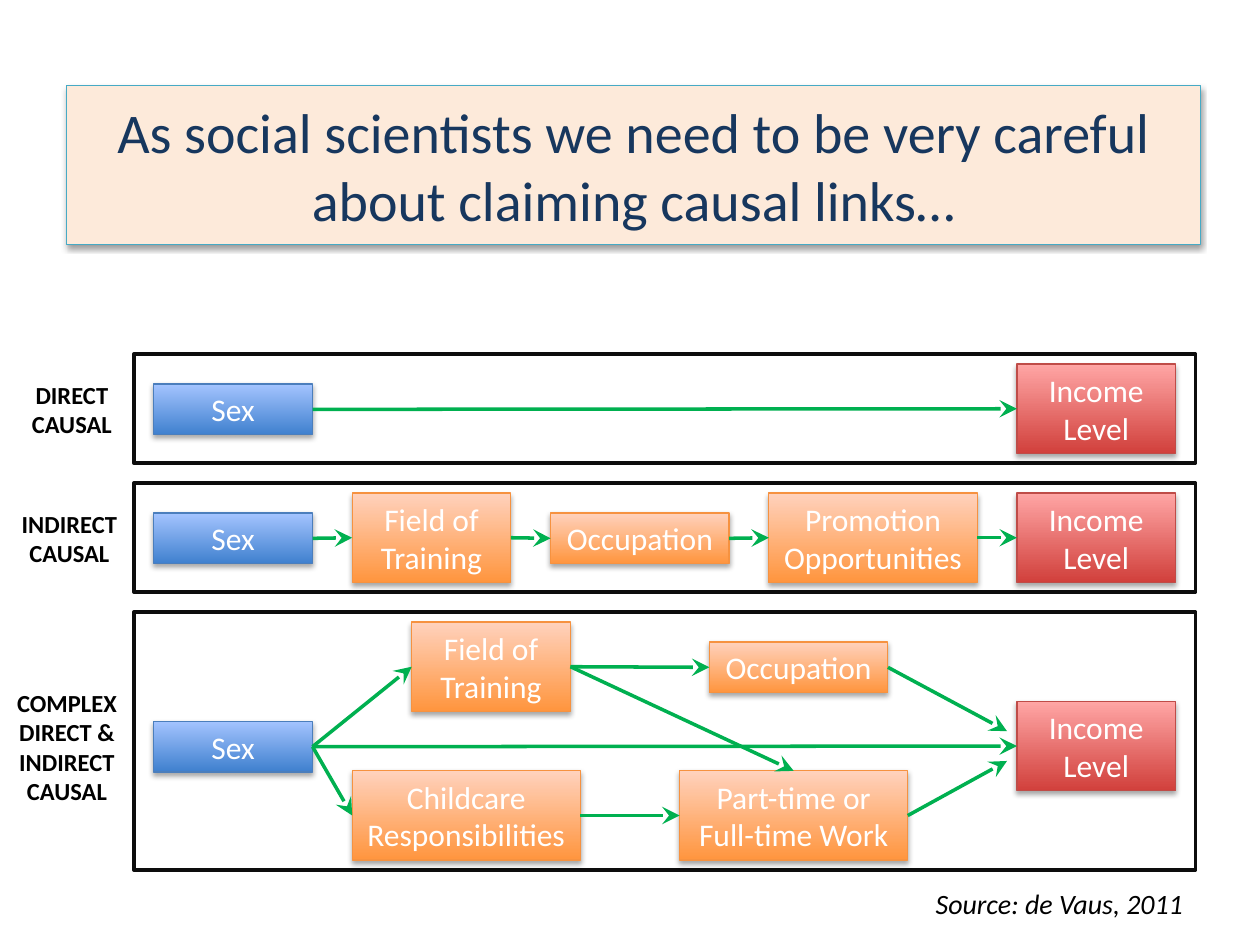
from dataclasses import dataclass

from lxml import etree
from pptx import Presentation
from pptx.dml.color import RGBColor
from pptx.enum.shapes import MSO_CONNECTOR, MSO_SHAPE
from pptx.enum.text import MSO_ANCHOR, PP_ALIGN
from pptx.oxml.ns import qn
from pptx.util import Emu, Inches, Pt

RECTANGLE = MSO_SHAPE.RECTANGLE
STRAIGHT = MSO_CONNECTOR.STRAIGHT
MIDDLE = MSO_ANCHOR.MIDDLE
CENTER, RIGHT = PP_ALIGN.CENTER, PP_ALIGN.RIGHT
TOP_SITE, LEFT_SITE, RIGHT_SITE = 0, 1, 3
GRID = 144000
SHORT, TALL = 2.56, 4.5


@dataclass(frozen=True)
class Theme:
    """Colours, font and type sizes of the slide."""

    font: str = "Calibri"
    title_size: int = 32
    node_size: int = 18
    label_size: int = 14
    source_size: int = 16
    title_text: str = "17375E"
    title_fill: str = "FDEADA"
    title_line: str = "46AAC5"
    node_text: str = "FFFFFF"
    body_text: str = "000000"
    panel_line: str = "0D0D0D"
    arrow: str = "00B050"
    cause: tuple = ("3F80CE", "A4C4FF", "4B7EBC")
    step: tuple = ("FF953E", "FFD2BD", "F69240")
    effect: tuple = ("D1403C", "FFA6A5", "BF4C48")


THEME = Theme()

SEX = ("Sex", THEME.cause)
INCOME = ("Income Level", THEME.effect)
FIELD = ("Field of Training", THEME.step)
OCCUPATION = ("Occupation", THEME.step)
PROMOTION = ("Promotion Opportunities", THEME.step)
CHILDCARE = ("Childcare Responsibilities", THEME.step)
WORK = ("Part-time or Full-time Work", THEME.step)

PANELS = [
    {
        "label": ("DIRECT CAUSAL", 0.75, 5.75),
        "box": (6.75, 17.85, 53.5, 5.5),
        "nodes": [(SEX, 1, 1.5, 8, SHORT), (INCOME, 44.5, 0.5, 8, TALL)],
        "links": [(SEX, INCOME, LEFT_SITE)],
        "open_links": [],
    },
    {
        "label": ("INDIRECT CAUSAL", 0, 7),
        "box": (6.75, 24.35, 53.5, 5.5),
        "nodes": [
            (SEX, 1, 1.5, 8, SHORT),
            (FIELD, 11, 0.5, 8, TALL),
            (OCCUPATION, 21, 1.5, 9, SHORT),
            (PROMOTION, 32, 0.5, 10.5, TALL),
            (INCOME, 44.5, 0.5, 8, TALL),
        ],
        "links": [
            (SEX, FIELD, LEFT_SITE),
            (FIELD, OCCUPATION, LEFT_SITE),
            (OCCUPATION, PROMOTION, LEFT_SITE),
            (PROMOTION, INCOME, LEFT_SITE),
        ],
        "open_links": [],
    },
    {
        "label": ("COMPLEX DIRECT & INDIRECT CAUSAL", 0, 6.75),
        "box": (6.75, 30.85, 53.5, 13),
        "nodes": [
            (SEX, 1, 5.5, 8, SHORT),
            (FIELD, 14, 0.5, 8, TALL),
            (OCCUPATION, 29, 1.5, 9, SHORT),
            (CHILDCARE, 11, 8, 11.5, TALL),
            (WORK, 27.5, 8, 11.5, TALL),
            (INCOME, 44.5, 4.5, 8, TALL),
        ],
        "links": [
            (SEX, FIELD, LEFT_SITE),
            (SEX, CHILDCARE, LEFT_SITE),
            (SEX, INCOME, LEFT_SITE),
            (FIELD, OCCUPATION, LEFT_SITE),
            (FIELD, WORK, TOP_SITE),
            (CHILDCARE, WORK, LEFT_SITE),
        ],
        "open_links": [(OCCUPATION, 44, 6), (WORK, 44, 7.5)],
    },
]


def cells(*counts):
    """Turn counts of grid cells into lengths."""
    return [Emu(round(count * GRID)) for count in counts]


def color(value):
    """Turn a hex string into a colour."""
    return RGBColor.from_string(value)


def write(shape, text, size, ink, alignment=CENTER):
    """Put one wrapped, vertically centred paragraph in a shape."""
    frame = shape.text_frame
    frame.word_wrap = True
    frame.vertical_anchor = MIDDLE
    paragraph = frame.paragraphs[0]
    paragraph.text = text
    paragraph.alignment = alignment
    paragraph.font.name = THEME.font
    paragraph.font.size = Pt(size)
    paragraph.font.color.rgb = color(ink)
    return paragraph


def add_box(slide, box, line, width):
    """Add an unfilled, shadowless rectangle with an outline."""
    shape = slide.shapes.add_shape(RECTANGLE, *cells(*box))
    shape.shadow.inherit = False
    shape.fill.background()
    shape.line.color.rgb = color(line)
    shape.line.width = Pt(width)
    return shape


def add_shadow(shape, distance, opacity):
    """Give a shape a soft shadow below it."""
    effects = shape.element.spPr.find(qn("a:effectLst"))
    shadow = etree.SubElement(
        effects, qn("a:outerShdw"), blurRad=str(Pt(3.1)),
        dist=str(Pt(distance)), dir="5400000", rotWithShape="0")
    ink = etree.SubElement(shadow, qn("a:srgbClr"), val="000000")
    etree.SubElement(ink, qn("a:alpha"), val=str(opacity * 1000))


def add_title(slide, box):
    """Add the headline banner."""
    shape = add_box(slide, box, THEME.title_line, 0.75)
    shape.fill.solid()
    shape.fill.fore_color.rgb = color(THEME.title_fill)
    add_shadow(shape, 1.6, 38)
    write(shape, "As social scientists we need to be very careful "
          "about claiming causal links…", THEME.title_size, THEME.title_text)


def add_node(slide, box, text, colors):
    """Add a variable as a shaded box."""
    dark, light, line = colors
    shape = add_box(slide, box, line, 0.75)
    shape.fill.gradient()
    shape.fill.gradient_angle = 90
    for stop, shade in zip(shape.fill.gradient_stops, (dark, light)):
        stop.color.rgb = color(shade)
    add_shadow(shape, 1.8, 35)
    write(shape, text, THEME.node_size, THEME.node_text)
    return shape


def add_arrow(slide, start, end):
    """Add an arrow from the right side of a node to a point."""
    arrow = slide.shapes.add_connector(STRAIGHT, 0, 0, *end)
    arrow.begin_connect(start, RIGHT_SITE)
    arrow.line.color.rgb = color(THEME.arrow)
    arrow.line.width = Pt(2)
    properties = arrow.element.spPr
    etree.SubElement(properties.find(qn("a:ln")), qn("a:tailEnd"),
                     type="stealth", w="lg", len="lg")
    etree.SubElement(properties, qn("a:effectLst"))
    return arrow


def add_text(slide, box, text, size, alignment=CENTER):
    """Add a plain text box and return its paragraph."""
    shape = slide.shapes.add_textbox(*cells(*box))
    return write(shape, text, size, THEME.body_text, alignment)


def add_panel(slide, box, label, nodes, links, open_links):
    """Add a framed causal model, with its label level with the cause."""
    left, top, _, _ = box
    add_box(slide, box, THEME.panel_line, 2)
    shapes = {}
    for kind, column, row, width, height in nodes:
        node_box = (left + column, top + row, width, height)
        shapes[kind] = add_node(slide, node_box, *kind)
    for start, end, site in links:
        arrow = add_arrow(slide, shapes[start], (0, 0))
        arrow.end_connect(shapes[end], site)
    for start, column, row in open_links:
        add_arrow(slide, shapes[start], cells(left + column, top + row))
    text, label_left, label_width = label
    cause_row, cause_height = nodes[0][2], nodes[0][4]
    label_height = 6.5
    label_top = top + cause_row + (cause_height - label_height) / 2
    paragraph = add_text(slide, (label_left, label_top, label_width, label_height),
                         text, THEME.label_size)
    paragraph.font.bold = True


def main():
    """Build the slide and save it."""
    presentation = Presentation()
    presentation.slide_width, presentation.slide_height = Inches(10), Inches(7.5)
    slide = presentation.slides.add_slide(presentation.slide_layouts[6])
    add_title(slide, (3.37, 4.32, 57.15, 8))
    for panel in PANELS:
        add_panel(slide, **panel)
    source = add_text(slide, (44.25, 44.35, 16, 2.35), "Source: de Vaus, 2011",
                      THEME.source_size, RIGHT)
    source.font.italic = True
    presentation.save("out.pptx")


if __name__ == "__main__":
    main()
